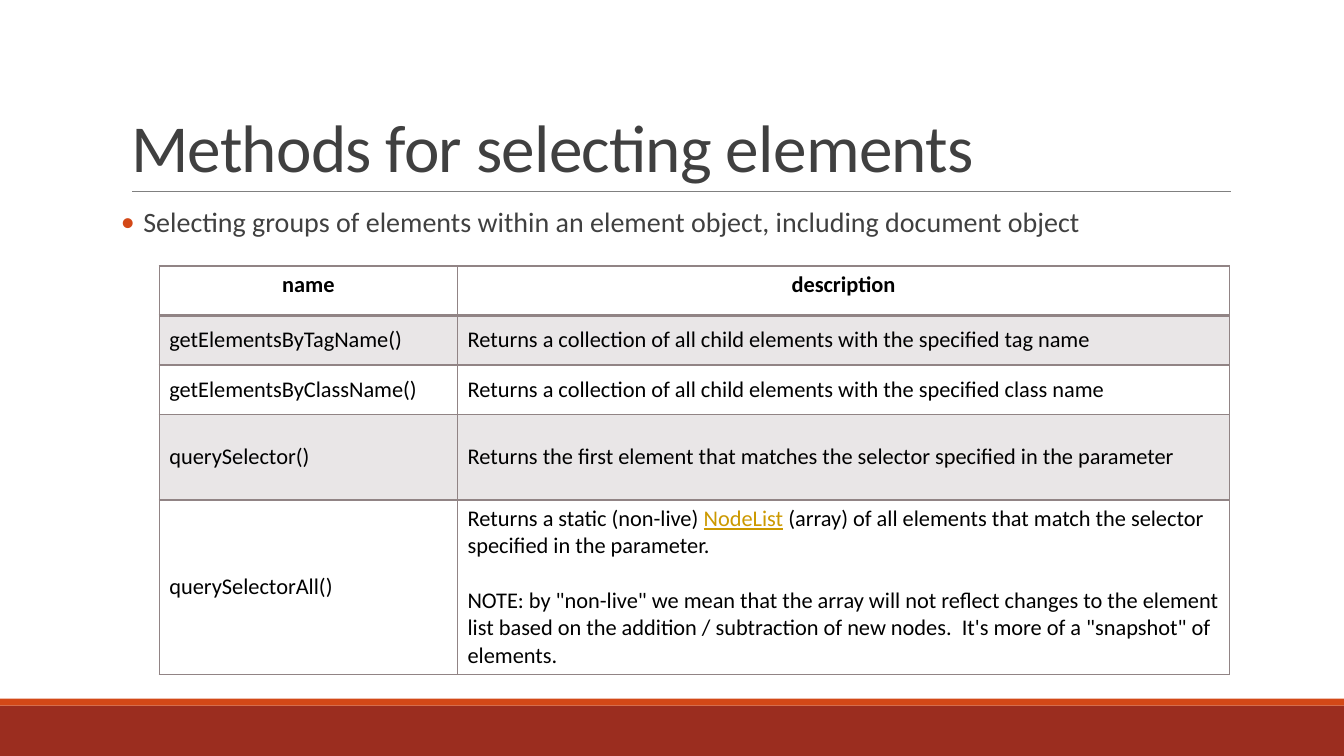
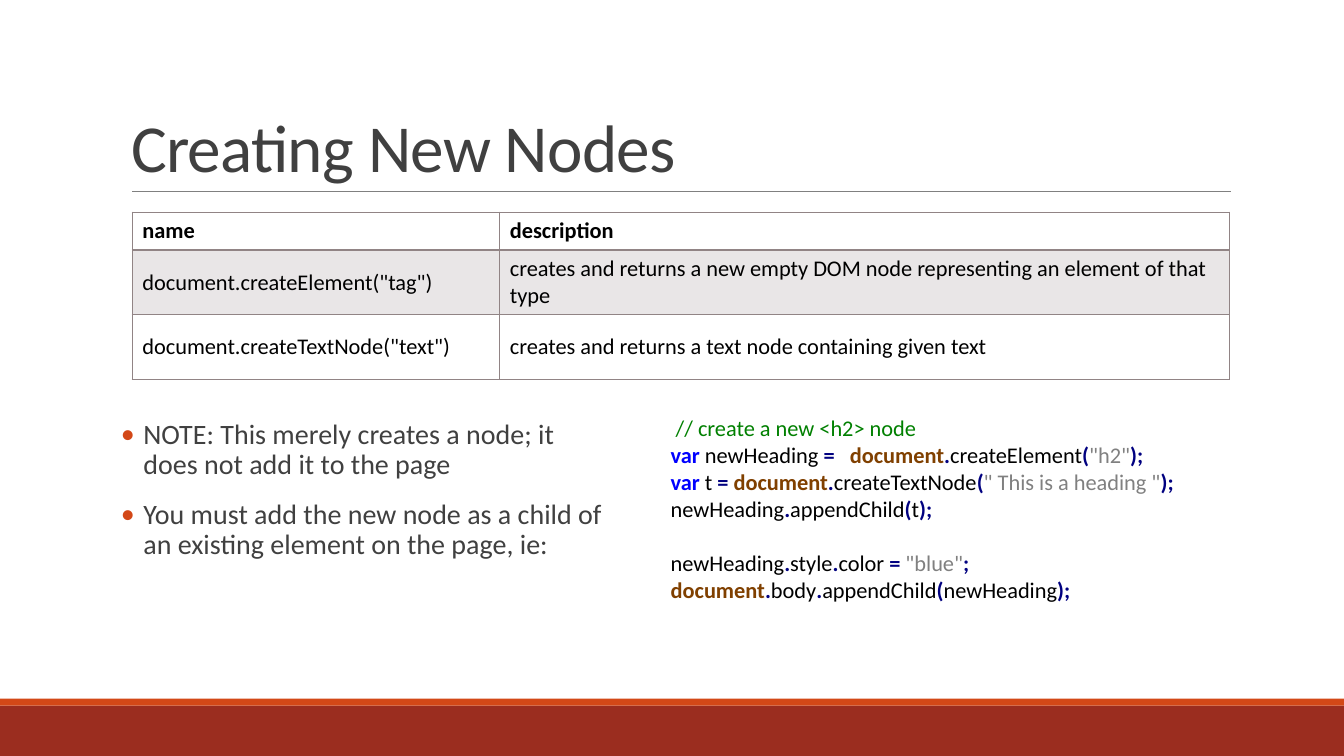
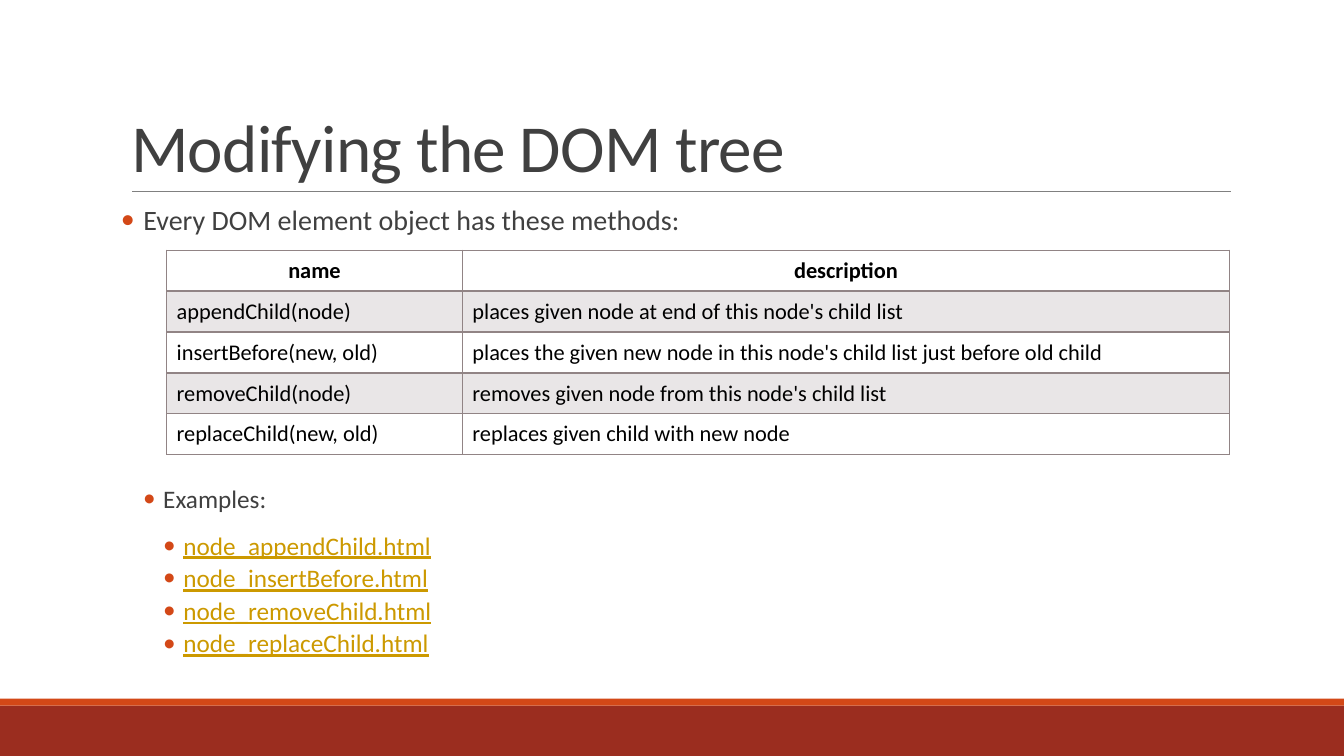
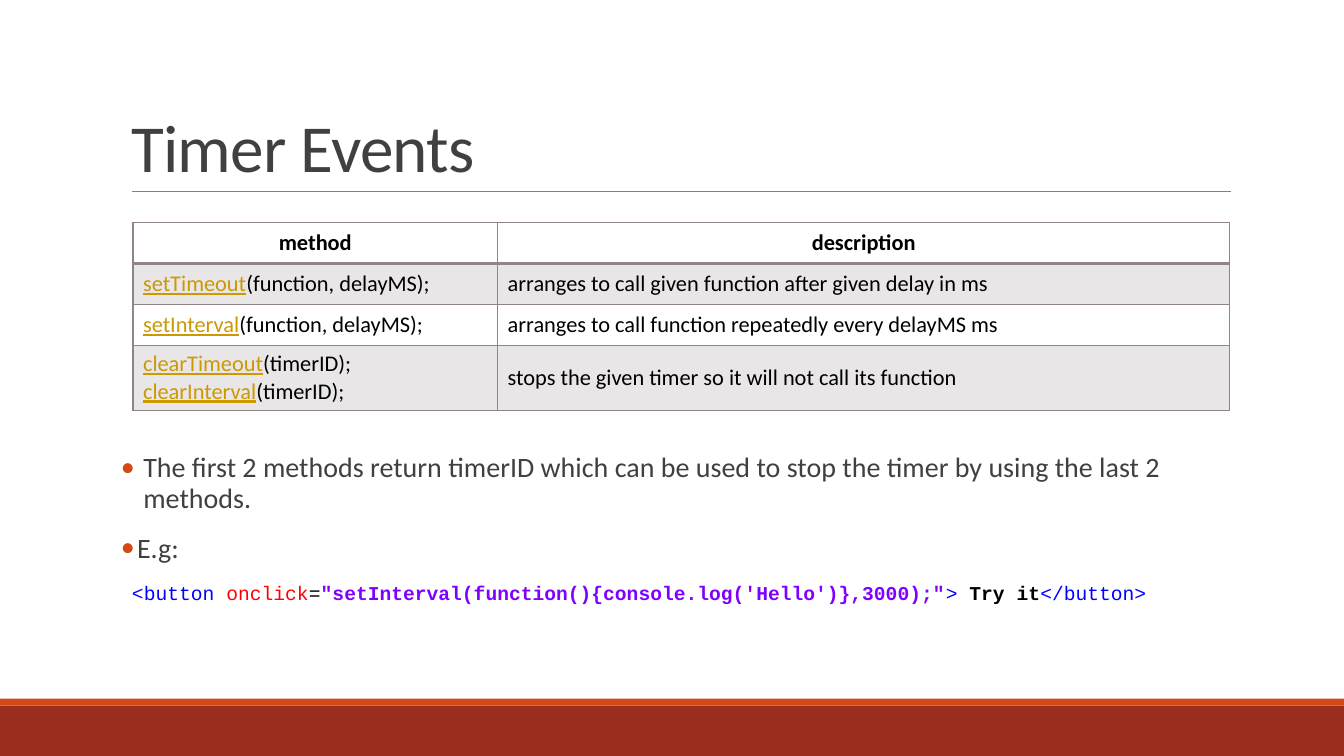
from typing import NamedTuple

from lxml import etree
from pptx import Presentation
from pptx.dml import color as dml
from pptx.enum import shapes, text
from pptx.oxml import ns
from pptx.util import Pt

FONT, CODE_FONT = "Calibri", "Courier New"
INK, BLACK, LINK = "404040", "000000", "CC9900"
BAND, ACCENT, RULE = "9B2D1F", "D34817", "808080"
GRID, SHADE = "918485", "E9E6E7"
LEFT, WIDTH = 86.4, 792
CODE_LINE = 19.5


class Span(NamedTuple):
    """A stretch of text with its own look."""
    text: str
    color: str = BLACK
    bold: bool = False
    underline: bool = False


class Item(NamedTuple):
    """A bulleted paragraph; lengths in points."""
    spans: list
    size: float = 20
    level: int = 0
    indent: float = 16
    hang: float = 16
    before: float = 12
    after: float = 2


def rgb(value):
    """Turn a hex string into a colour."""
    return dml.RGBColor.from_string(value)


def link(words):
    """Return a span that looks like a link."""
    return Span(words, LINK, underline=True)


def keyword(words):
    """Return a span for a language keyword."""
    return Span(words, "0000FF", True)


def builtin(words):
    """Return a span for a built-in object."""
    return Span(words, "804000", True)


def mark(words):
    """Return a span for an operator or punctuation."""
    return Span(words, "000080", True)


def quoted(words):
    """Return a span for a string literal."""
    return Span(words, "808080")


def tag(words):
    """Return a span for a piece of an HTML tag."""
    return Span(words, "0000FF")


def write(para, spans, size, color=BLACK, bold=False, font=FONT):
    """Fill a paragraph with spans; plain strings take the given look."""
    for piece in spans:
        if isinstance(piece, str):
            piece = Span(piece, color, bold)
        span = para.add_run()
        span.text = piece.text
        span.font.name = font
        span.font.size = Pt(size)
        span.font.bold = piece.bold
        span.font.underline = piece.underline
        span.font.color.rgb = rgb(piece.color)


def paragraphs(frame, count):
    """Return the frame's first paragraph and as many more as needed."""
    return [frame.paragraphs[0]] + [frame.add_paragraph() for _ in range(count - 1)]


def place(shape, left, top, width, height):
    """Move and size a shape, in points."""
    shape.left, shape.top = Pt(left), Pt(top)
    shape.width, shape.height = Pt(width), Pt(height)


def add_band(page, top, height, color):
    """Draw a band across the whole page."""
    band = page.shapes.add_shape(shapes.MSO_SHAPE.RECTANGLE, 0, Pt(top), Pt(960), Pt(height))
    band.shadow.inherit = False
    band.fill.solid()
    band.fill.fore_color.rgb = rgb(color)
    band.line.fill.background()
    return band


def add_rule(page):
    """Draw the thin line below the title."""
    rule = page.shapes.add_connector(
        shapes.MSO_CONNECTOR.STRAIGHT, Pt(94.5), Pt(136.8), Pt(879), Pt(136.8))
    rule.line.color.rgb = rgb(RULE)
    rule.line.width = Pt(0.5)
    etree.SubElement(rule.element.spPr, ns.qn("a:effectLst"))
    return rule


def furnish_layout(layout, page):
    """Move the bands and the rule to the layout and place its title and body."""
    decor = [add_band(page, 504, 36, BAND), add_band(page, 499, 5, ACCENT), add_rule(page)]
    for position, shape in enumerate(decor, start=2):
        layout.shapes.element.insert(position, shape.element)
    title, body = list(layout.placeholders)[:2]
    place(title, LEFT, 22.3, WIDTH, 114.5)
    place(body, LEFT, 145.5, WIDTH, 317)


def set_title(page, words):
    """Write the page title."""
    frame = page.shapes.title.text_frame
    frame.vertical_anchor = text.MSO_ANCHOR.BOTTOM
    frame.auto_size = text.MSO_AUTO_SIZE.NONE
    para = frame.paragraphs[0]
    para.alignment = text.PP_ALIGN.LEFT
    para.line_spacing = 0.85
    write(para, [words], 48, INK)
    para.runs[0]._r.get_or_add_rPr().set("spc", "-50")


def add_bullet(para, indent, hang):
    """Give a paragraph an accent bullet and a hanging indent."""
    props = para._p.get_or_add_pPr()
    props.set("marL", str(Pt(indent)))
    props.set("indent", str(-Pt(hang)))
    tint = etree.SubElement(props, ns.qn("a:buClr"))
    etree.SubElement(tint, ns.qn("a:srgbClr"), val=ACCENT)
    etree.SubElement(props, ns.qn("a:buFont"), typeface=FONT)
    etree.SubElement(props, ns.qn("a:buChar"), char="•")


def set_list(page, items, top, width, height, spacing=0.9):
    """Write the bulleted list in the body placeholder."""
    body = page.placeholders[1]
    place(body, LEFT, top, width, height)
    frame = body.text_frame
    frame.auto_size = text.MSO_AUTO_SIZE.NONE
    frame.margin_left = frame.margin_right = 0
    for para, item in zip(paragraphs(frame, len(items)), items):
        para.level = item.level
        para.line_spacing = spacing
        para.space_before, para.space_after = Pt(item.before), Pt(item.after)
        add_bullet(para, item.indent, item.hang)
        write(para, item.spans, item.size, INK)


def set_borders(cell, top, bottom):
    """Draw the four borders of a cell; top and bottom widths in points."""
    props = cell._tc.get_or_add_tcPr()
    for side, width in (("L", 1), ("R", 1), ("T", top), ("B", bottom)):
        line = etree.SubElement(props, ns.qn("a:ln" + side), w=str(Pt(width)))
        fill = etree.SubElement(line, ns.qn("a:solidFill"))
        etree.SubElement(fill, ns.qn("a:srgbClr"), val=GRID)


def fill_cell(cell, content, header, centred, gap):
    """Write a cell: a string, or a list of paragraphs made of spans."""
    blocks = [[content]] if isinstance(content, str) else content
    for number, para in enumerate(paragraphs(cell.text_frame, len(blocks))):
        if header and centred:
            para.alignment = text.PP_ALIGN.CENTER
        para.space_before = Pt(gap if number else 0)
        write(para, blocks[number], 16, bold=header)


def add_grid(page, left, top, widths, heights, rows, centred=True,
             header_anchor=text.MSO_ANCHOR.MIDDLE, gap=0):
    """Add a table with a ruled header and every second row shaded."""
    frame = page.shapes.add_table(len(rows), len(widths), Pt(left), Pt(top),
                                  Pt(sum(widths)), Pt(sum(heights)))
    table = frame.table
    table.first_row = table.horz_banding = False
    for column, width in zip(table.columns, widths):
        column.width = Pt(width)
    for index, (row, height) in enumerate(zip(rows, heights)):
        table.rows[index].height = Pt(height)
        for column, content in enumerate(row):
            cell = table.cell(index, column)
            header = index == 0
            cell.vertical_anchor = header_anchor if header else text.MSO_ANCHOR.MIDDLE
            set_borders(cell, 2 if index == 1 else 1, 2 if header else 1)
            if index % 2:
                cell.fill.solid()
                cell.fill.fore_color.rgb = rgb(SHADE)
            else:
                cell.fill.background()
            fill_cell(cell, content, header, centred, gap)


def add_code(page, left, top, width, height, lines, size, font=FONT, breaks=()):
    """Add coloured code; a line whose index is in breaks has a gap above it."""
    box = page.shapes.add_textbox(Pt(left), Pt(top), Pt(width), Pt(height))
    frame = box.text_frame
    frame.word_wrap = True
    for number, para in enumerate(paragraphs(frame, len(lines))):
        para.space_before = Pt(CODE_LINE if number in breaks else 0)
        write(para, lines[number], size, font=font)


def build_selecting(page):
    """Methods that select elements."""
    set_title(page, "Methods for selecting elements")
    set_list(page, [Item(["Selecting groups of elements within an element object, "
                          "including document object"])], 145.5, WIDTH, 317)
    rows = [
        ("name", "description"),
        ("getElementsByTagName()",
         "Returns a collection of all child elements with the specified tag name"),
        ("getElementsByClassName()",
         "Returns a collection of all child elements with the specified class name"),
        ("querySelector()",
         "Returns the first element that matches the selector specified in the parameter"),
        ("querySelectorAll()", [
            ["Returns a static (non-live) ", link("NodeList"),
             " (array) of all elements that match the selector specified in the parameter."],
            ["NOTE: by \"non-live\" we mean that the array will not reflect changes to the "
             "element list based on the addition / subtraction of new nodes.  "
             "It's more of a \"snapshot\" of elements."]]),
    ]
    add_grid(page, 113.8, 190, (213, 551.5), (35.4, 35.4, 35.4, 61, 61), rows,
             header_anchor=text.MSO_ANCHOR.TOP, gap=CODE_LINE)


def build_creating(page):
    """Methods that create nodes, with sample code."""
    set_title(page, "Creating New Nodes")
    set_list(page, [
        Item(["NOTE: This merely creates a node; it does not add it to the page"]),
        Item(["You must add the new node as a child of an existing element on the page, ie:"]),
    ], 296.5, 351.5, 166)
    rows = [
        ("name", "description"),
        ('document.createElement("tag")',
         "creates and returns a new empty DOM node representing an element of that type"),
        ('document.createTextNode("text")',
         "creates and returns a text node containing given text"),
    ]
    add_grid(page, 94.5, 151.6, (262.5, 521.5), (27, 46, 46), rows, centred=False)
    lines = [
        [Span(" // create a new <h2> node", "008000")],
        [keyword("var"), " newHeading ", mark("="), "   ", builtin("document"), mark("."),
         "createElement", mark("("), quoted('"h2"'), mark(");")],
        [keyword("var"), " t ", mark("="), " ", builtin("document"), mark("."),
         "createTextNode", mark("("), quoted('" This is a heading "'), mark(");")],
        ["newHeading", mark("."), "appendChild", mark("("), "t", mark(");")],
        ["newHeading", mark("."), "style", mark("."), "color ", mark("="), " ",
         quoted('"blue"'), mark(";")],
        [builtin("document"), mark("."), "body", mark("."), "appendChild", mark("("),
         "newHeading", mark(");")],
    ]
    add_code(page, 472, 292.5, 406, 143, lines, 16, breaks=(4,))


def build_modifying(page):
    """Methods that change the tree, with example files."""
    set_title(page, "Modifying the DOM tree")
    examples = [
        Item([link(f"node_{method}.html")], 18, 2, 44.6, 14.4, 2 if number else 12, 4)
        for number, method in enumerate(
            ("appendChild", "insertBefore", "removeChild", "replaceChild"))]
    set_list(page, [
        Item(["Every DOM element object has these methods:"]),
        Item(["Examples:"], 18, 1, 30.2, 14.4, 179, 4),
        *examples,
    ], 145.5, WIDTH, 337.5, spacing=0.8)
    rows = [
        ("name", "description"),
        ("appendChild(node)", "places given node at end of this node's child list"),
        ("insertBefore(new,\u00a0old)",
         "places the given new node in this node's child list just before old child"),
        ("removeChild(node)", "removes given node from this node's child list"),
        ("replaceChild(new,\u00a0old)", "replaces given child with new node"),
    ]
    add_grid(page, 119, 178.8, (211.3, 548), [29.2] * 5, rows)


def build_timers(page):
    """Timer methods, with a sample button."""
    set_title(page, "Timer Events")
    set_list(page, [
        Item(["The first 2 methods return timerID which can be used to stop the timer "
              "by using the last 2 methods."]),
        Item(["E.g:"], indent=11.5, hang=11.5),
    ], 320.5, WIDTH, 142)
    rows = [
        ("method", "description"),
        ([[link("setTimeout"), "(function,\u00a0delayMS);"]],
         "arranges to call given function after given delay in ms"),
        ([[link("setInterval"), "(function,\u00a0delayMS);"]],
         "arranges to call function repeatedly every delayMS ms"),
        ([[link("clearTimeout"), "(timerID);"], [link("clearInterval"), "(timerID);"]],
         "stops the given timer so it will not call its function"),
    ]
    add_grid(page, 95, 159, (260.5, 523), [29.2] * 4, rows)
    button = [tag("<button"), " ", Span("onclick", "FF0000"), "=",
              Span("\"setInterval(function(){console.log('Hello')},3000);\"", "8000FF", True),
              tag(">"), Span(" Try it", bold=True), tag("</button>")]
    add_code(page, 87.2, 411.3, 790, 24.5, [button], 14, CODE_FONT)


def main():
    """Build the deck and save it."""
    deck = Presentation()
    deck.slide_width, deck.slide_height = Pt(960), Pt(540)
    layout = deck.slide_layouts[1]
    builders = (build_selecting, build_creating, build_modifying, build_timers)
    pages = [deck.slides.add_slide(layout) for _ in builders]
    furnish_layout(layout, pages[0])
    for build, page in zip(builders, pages):
        build(page)
    deck.save("out.pptx")


main()
